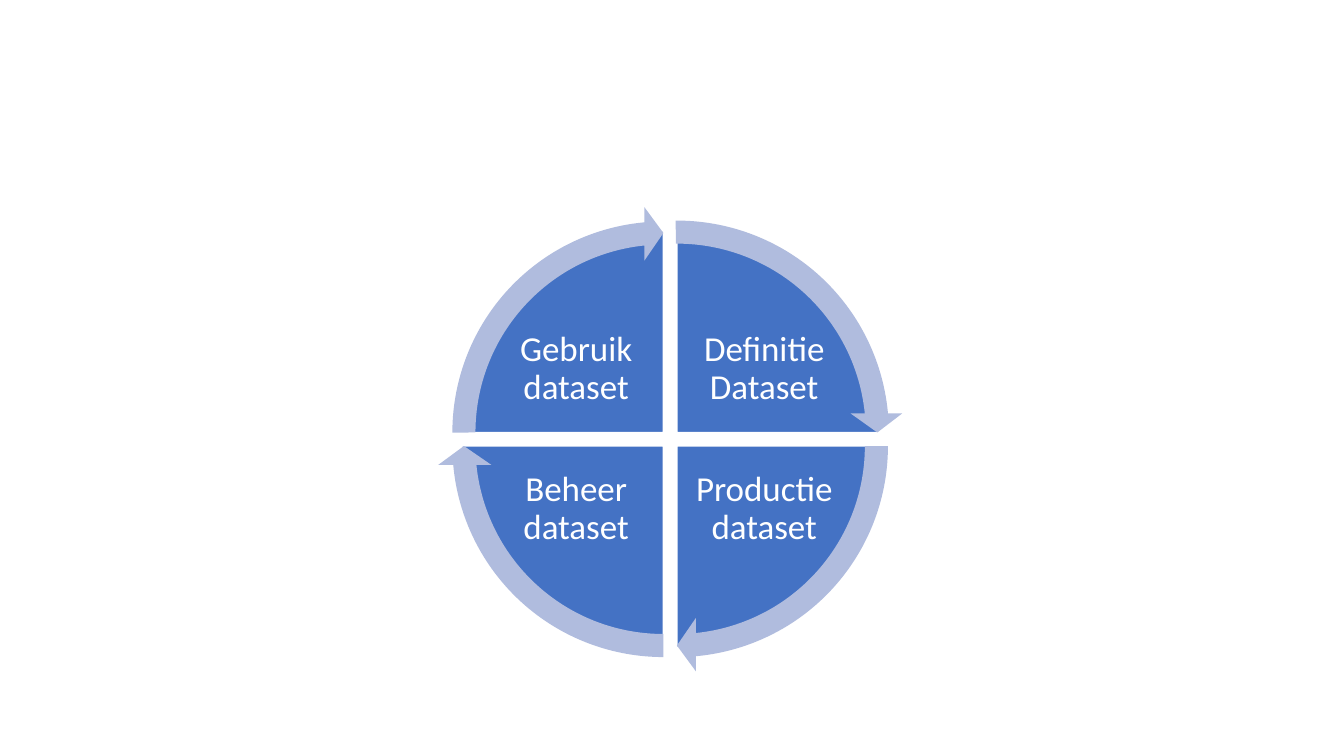
from dataclasses import dataclass

from lxml.etree import SubElement
from pptx import Presentation
from pptx.dml.color import RGBColor
from pptx.enum.shapes import MSO_SHAPE as Preset
from pptx.enum.text import MSO_ANCHOR as Anchor, PP_ALIGN as Align
from pptx.oxml.ns import qn
from pptx.util import Cm, Pt


@dataclass(frozen=True)
class Theme:
    wedge: RGBColor = RGBColor(0x44, 0x72, 0xC4)
    arrow: RGBColor = RGBColor(0xB0, 0xBC, 0xDE)
    light: RGBColor = RGBColor(0xFF, 0xFF, 0xFF)
    font: str = "Calibri"
    label_size: Pt = Pt(25)
    outline: Pt = Pt(1)


@dataclass(frozen=True)
class Phase:
    """A quarter of the cycle; begin is the unit vector to where its arc starts."""
    text: str
    begin: tuple
    arrow_start: float
    arrow_end: float
    arrow_inset: float = 0.059

    @property
    def end(self):
        x, y = self.begin
        return -y, x

    @property
    def side(self):
        return self.begin[0] + self.end[0], self.begin[1] + self.end[1]


THEME = Theme()
PHASES = [
    Phase("Definitie Dataset", (0, -1), 161.805, 212.725, 0.057),
    Phase("Productie dataset", (1, 0), 0, 50.725),
    Phase("Beheer dataset", (0, 1), 54, 104.725),
    Phase("Gebruik dataset", (-1, 0), 108, 158.725),
]
GAP = Cm(0.34)
ARROW_SIZE = Cm(11.4)
# Margins within the full circle's box, on the inner and the outer side
INNER_X, OUTER_X = Cm(5.49), Cm(1.09)
INNER_Y, OUTER_Y = Cm(5.36), Cm(2.18)
ARC_HANDLE = 0.5523  # Bézier handle of a quarter circle, in radii


def draw_quarter_outline(path, phase, radius):
    """Replace the outline with a quarter disc, its corner mid-box."""
    (begin_x, begin_y), (end_x, end_y) = phase.begin, phase.end
    handles = [
        (begin_x + ARC_HANDLE * end_x, begin_y + ARC_HANDLE * end_y),
        (end_x + ARC_HANDLE * begin_x, end_y + ARC_HANDLE * begin_y),
    ]
    steps = [
        ("a:moveTo", [phase.begin]),
        ("a:cubicBezTo", [*handles, phase.end]),
        ("a:lnTo", [(0, 0)]),
        ("a:close", []),
    ]
    for child in list(path):
        path.remove(child)
    for tag, points in steps:
        step = SubElement(path, qn(tag))
        for x, y in points:
            SubElement(
                step, qn("a:pt"), x=str(round(radius * (1 + x))), y=str(round(radius * (1 + y)))
            )


def add_wedge(shapes, phase, x, y, radius):
    left, top, right, bottom = x - radius, y - radius, x + radius, y + radius
    builder = shapes.build_freeform(left, top)
    builder.add_line_segments([(right, top), (right, bottom), (left, bottom)], close=True)
    wedge = builder.convert_to_shape()
    draw_quarter_outline(wedge.element.find(".//" + qn("a:path")), phase, radius)
    wedge.shadow.inherit = False
    wedge.fill.solid()
    wedge.fill.fore_color.rgb = THEME.wedge
    wedge.line.color.rgb = THEME.light
    wedge.line.width = THEME.outline

    side_x, side_y = phase.side
    frame = wedge.text_frame
    frame.word_wrap = True
    frame.vertical_anchor = Anchor.MIDDLE
    frame.margin_left, frame.margin_right = (INNER_X, OUTER_X)[::side_x]
    frame.margin_top, frame.margin_bottom = (INNER_Y, OUTER_Y)[::side_y]
    paragraph = frame.paragraphs[0]
    paragraph.text = phase.text
    paragraph.alignment = Align.CENTER
    paragraph.line_spacing = 0.9
    paragraph.font.name = THEME.font
    paragraph.font.size = THEME.label_size
    paragraph.font.color.rgb = THEME.light


def add_cycle_arrow(shapes, phase, x, y):
    arrow = shapes.add_shape(
        Preset.CIRCULAR_ARROW, x - ARROW_SIZE // 2, y - ARROW_SIZE // 2, ARROW_SIZE, ARROW_SIZE
    )
    settings = (0.051, 3.275, phase.arrow_end, phase.arrow_start, phase.arrow_inset)
    for index, value in enumerate(settings):
        arrow.adjustments[index] = value
    arrow.shadow.inherit = False
    arrow.fill.solid()
    arrow.fill.fore_color.rgb = THEME.arrow
    arrow.line.fill.background()


def add_cycle(slide, left, top, size):
    """Fill a square box with four wedges and the arrows around them."""
    shapes = slide.shapes.add_group_shape().shapes
    radius = (size - GAP) // 2
    middle_x, middle_y = left + size // 2, top + size // 2
    corners = [
        (middle_x + phase.side[0] * GAP // 2, middle_y + phase.side[1] * GAP // 2)
        for phase in PHASES
    ]
    for phase, (x, y) in zip(PHASES, corners):
        add_wedge(shapes, phase, x, y, radius)
    for phase, (x, y) in zip(PHASES, corners):
        add_cycle_arrow(shapes, phase, x, y)


def main():
    presentation = Presentation()
    presentation.slide_width, presentation.slide_height = Cm(33.87), Cm(19.05)
    slide = presentation.slides.add_slide(presentation.slide_layouts[6])
    add_cycle(slide, left=Cm(11.64), top=Cm(5.82), size=Cm(10.5))
    presentation.save("out.pptx")


if __name__ == "__main__":
    main()
